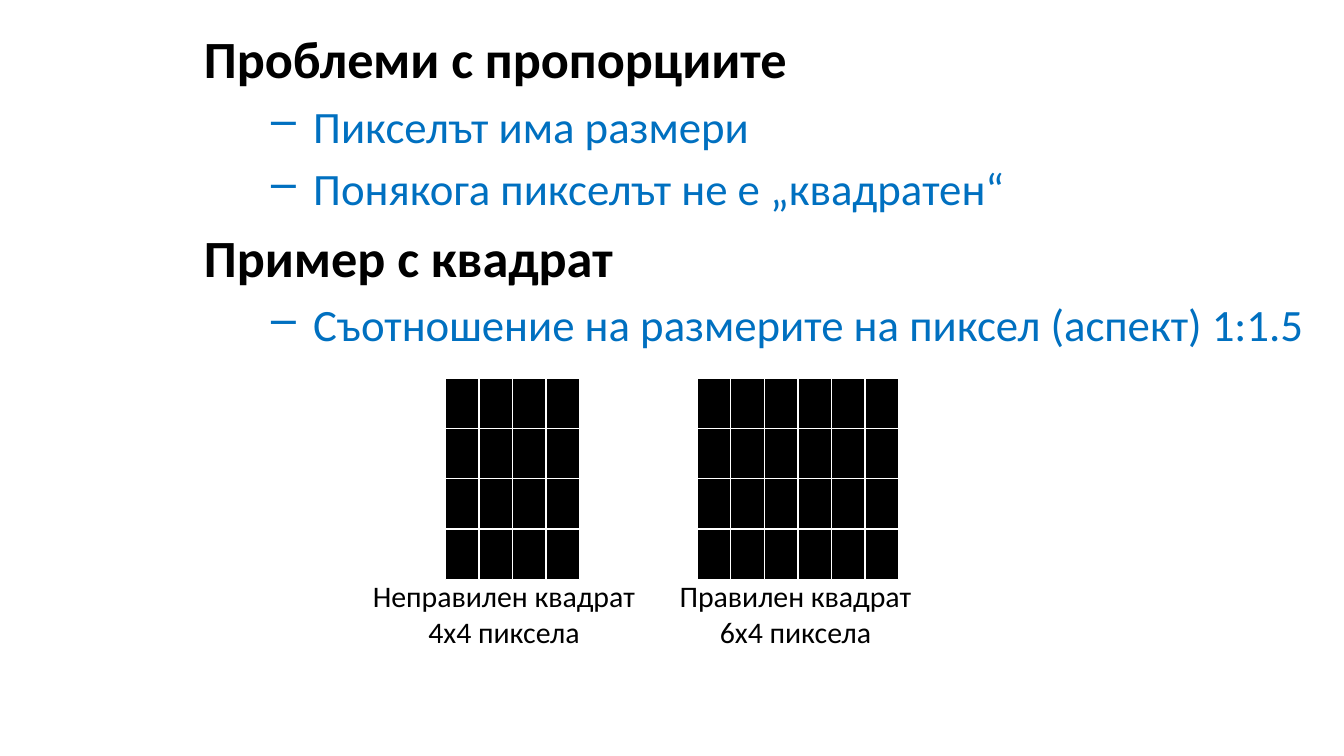
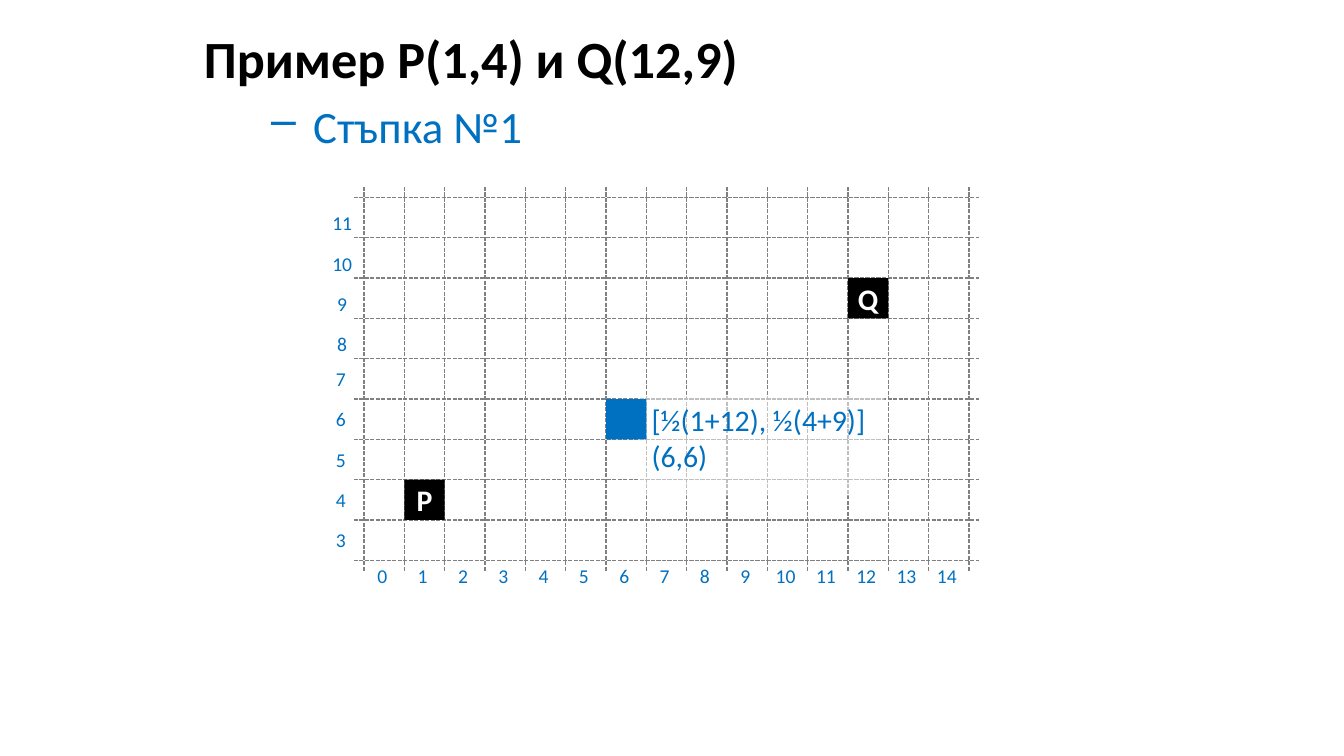
from dataclasses import dataclass

from lxml import etree
from pptx import Presentation
from pptx.dml.color import RGBColor
from pptx.enum import dml, shapes, text
from pptx.oxml import ns
from pptx.util import Pt


@dataclass(frozen=True)
class Theme:
    font: str = "Calibri"
    black: str = "000000"
    white: str = "FFFFFF"
    blue: str = "0070C0"
    gray: str = "808080"
    head: float = 28
    item: float = 24
    note: float = 16
    tick: float = 10.5
    line: float = 0.75


T = Theme()
BODY = (102.2, 10.8, 617.8, 372.2)
STEP = 21.6  # side of a grid cell
MID = text.PP_ALIGN.CENTER


def rgb(hue):
    return RGBColor.from_string(hue)


def sub(node, tag, **attrs):
    return etree.SubElement(node, ns.qn(tag), **attrs)


def style(para, size, hue, bold=False):
    for run in para.runs:
        font = run.font
        font.name, font.size, font.bold = T.font, Pt(size), bold
        font.color.rgb = rgb(hue)


def label(home, box, words, size, hue, bold=False, align=MID, grow=True):
    """Text box with one paragraph for each line of words."""
    frame = home.add_textbox(*map(Pt, box)).text_frame
    frame.word_wrap = True
    frame.text = words
    if grow:
        frame.auto_size = text.MSO_AUTO_SIZE.SHAPE_TO_FIT_TEXT
    for para in frame.paragraphs:
        para.alignment = align
        style(para, size, hue, bold)
    return frame


def block(home, box, fill, edge=None):
    rect = home.add_shape(shapes.MSO_SHAPE.RECTANGLE, *map(Pt, box))
    rect.shadow.inherit = False
    rect.fill.solid()
    rect.fill.fore_color.rgb = rgb(fill)
    if edge:
        rect.line.color.rgb = rgb(edge)
        rect.line.width = Pt(T.line)
    else:
        rect.line.fill.background()
    return rect


def rule(home, ends):
    """Dashed grid line."""
    line = home.add_connector(shapes.MSO_CONNECTOR.STRAIGHT, *map(Pt, ends))
    line.line.color.rgb = rgb(T.gray)
    line.line.width = Pt(T.line)
    line.line.dash_style = dml.MSO_LINE.SQUARE_DOT
    sub(line._element.spPr, "a:effectLst")


def outline(home, box, rows):
    """Bold headings; rows that start with a dash become bulleted items."""
    frame = home.add_textbox(*map(Pt, box)).text_frame
    frame.word_wrap = True
    frame.text = "\n".join(row.removeprefix("- ") for row in rows)
    for row, para in zip(rows, frame.paragraphs):
        props = para._p.get_or_add_pPr()
        sub(sub(props, "a:spcBef"), "a:spcPct", val="20000")
        if row.startswith("- "):
            props.set("marL", str(Pt(58.5)))
            props.set("indent", str(Pt(-22.5)))
            sub(props, "a:buChar", char="–")
            style(para, T.item, T.blue)
        else:
            style(para, T.head, T.black, True)


def pixels(home, box, cols, rows):
    """Grid of black pixels that fills the box."""
    left, top, width, height = box
    wide, high = width / cols, height / rows
    group = home.add_group_shape().shapes
    for row in range(rows):
        for col in range(cols):
            place = (left + col * wide, top + row * high, wide, high)
            block(group, place, T.black, T.white)


def mesh(home, box, cols, rows, over):
    """Dashed lines around every cell, running past the box by over."""
    left, top, width, height = box
    for col in range(cols + 1):
        x = left + col * STEP
        rule(home, (x, top - over, x, top + height + over))
    for row in range(rows + 1):
        y = top + row * STEP
        rule(home, (left - over, y, left + width + over, y))


def across(home, box, nums):
    """Numbers centred under their cells by tab stops."""
    frame = label(home, box, "".join(f"\t{n}" for n in nums),
                  T.tick, T.blue, align=text.PP_ALIGN.LEFT)
    frame.margin_left = frame.margin_right = 0
    tabs = sub(frame.paragraphs[0]._p.get_or_add_pPr(), "a:tabLst")
    for i in range(len(nums)):
        sub(tabs, "a:tab", pos=str(Pt((i + 0.45) * STEP)), algn="ctr")


def down(home, box, nums):
    """Numbers beside the rows, from the highest to the lowest."""
    frame = label(home, box, "\n".join(map(str, nums)), T.tick, T.blue)
    for para in frame.paragraphs:
        para.line_spacing = Pt(21.5)


def raster(home, box, cols, rows, low):
    """Numbered grid with the ends P and Q and their midpoint."""
    left, top, width, height = box
    base = top + height

    def cell(col, row):
        return left + col * STEP, base - (row - low + 1) * STEP, STEP, STEP

    # Grid and axes
    group = home.add_group_shape().shapes
    mesh(group, box, cols, rows, 5.6)
    across(group, (left, base - 1.4, 10 * STEP, 20.2), range(10))
    across(group, (left + 10 * STEP, base - 1.4, 5.5 * STEP, 20.2),
           range(10, 15))
    down(group, (left - 28, top - 5, 32.4, 96.5), range(11, 7, -1))
    down(group, (left - 28.7, top + 78.5, 32.4, 118), range(7, 2, -1))

    # End cells
    ends = {"P": (1, 4), "Q": (12, 9)}
    for spot in ends.values():
        block(home, cell(*spot), T.black)

    # Midpoint and its note
    x, y, *_ = cell(6, 6)
    note = block(home, (x + 17.3, y - 2.2, 131.8, 54), T.white)
    tint = note._element.spPr.find(ns.qn("a:solidFill"))[0]
    sub(tint, "a:alpha", val="50000")
    frame = note.text_frame
    frame.vertical_anchor = text.MSO_ANCHOR.TOP
    frame.text = "[½(1+12), ½(4+9)]\n(6,6)"
    for para in frame.paragraphs:
        para.alignment = text.PP_ALIGN.LEFT
        style(para, T.note, T.blue)
    block(home, cell(6, 6), T.blue)

    # Letters on the end cells
    for name, spot in ends.items():
        x, y, *_ = cell(*spot)
        frame = label(home, (x - 2.9, y - 2.9, 27.4, 27.4), name,
                      T.note, T.white, True, grow=False)
        frame.vertical_anchor = text.MSO_ANCHOR.MIDDLE


def aspect(home, box):
    outline(home, box, [
        "Проблеми с пропорциите",
        "- Пикселът има размери",
        "- Понякога пикселът не е „квадратен“",
        "Пример с квадрат",
        "- Съотношение на размерите на пиксел (аспект) 1:1.5",
    ])
    left, top = box[0] + 136.3, box[1] + 191.7
    pixels(home, (left, top, 72, 108), 4, 4)
    pixels(home, (left + 135, top, 108, 108), 6, 4)
    label(home, (left - 48.4, top + 103.5, 159.8, 65.5),
          "Неправилен квадрат\v4x4 пиксела", T.note, T.black)
    label(home, (left + 115.7, top + 103.5, 144, 46),
          "Правилен квадрат 6x4 пиксела", T.note, T.black)


def middle(home, box):
    outline(home, box, ["Пример P(1,4) и Q(12,9)", "- Стъпка №1"])
    grid = (box[0] + 92.9, box[1] + 95, 15 * STEP, 9 * STEP)
    raster(home, grid, 15, 9, 3)


def main():
    deck = Presentation()
    deck.slide_width, deck.slide_height = Pt(720), Pt(405)
    for build in (aspect, middle):
        slide = deck.slides.add_slide(deck.slide_layouts[6])
        build(slide.shapes, BODY)
    deck.save("out.pptx")


if __name__ == "__main__":
    main()
